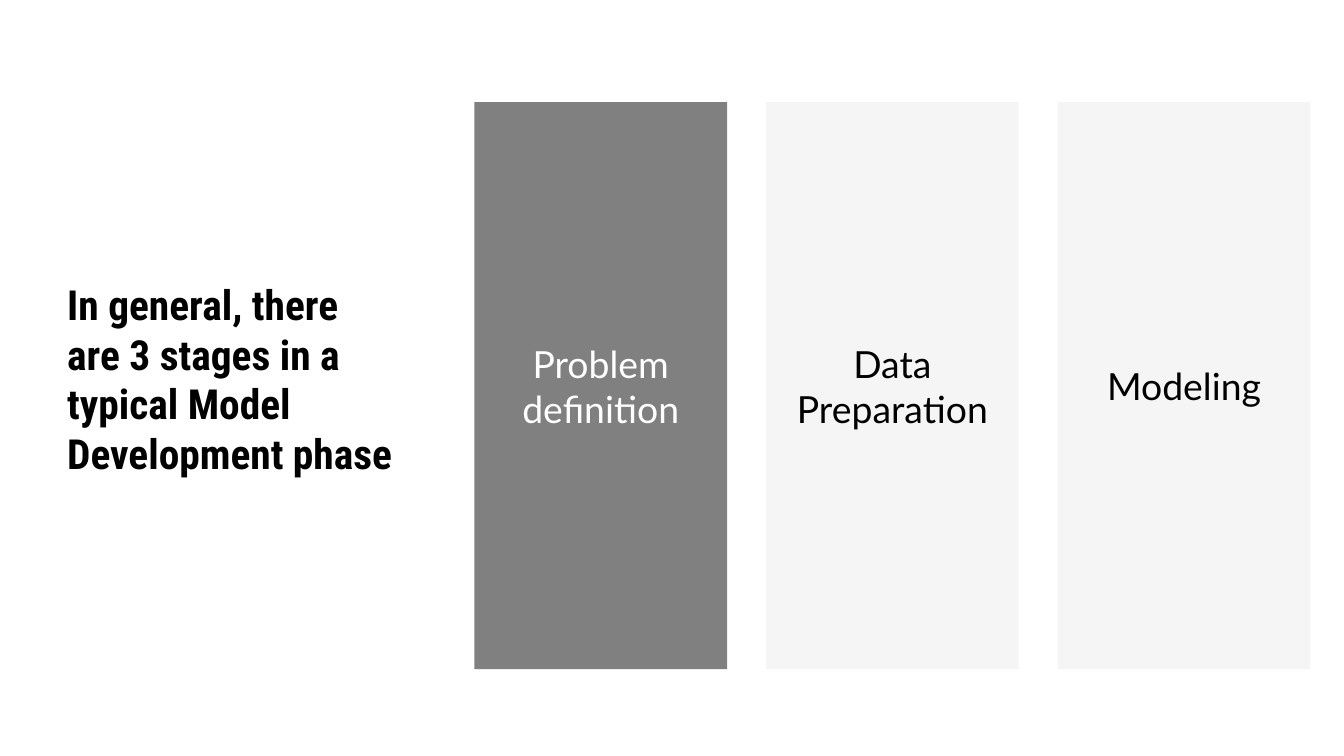
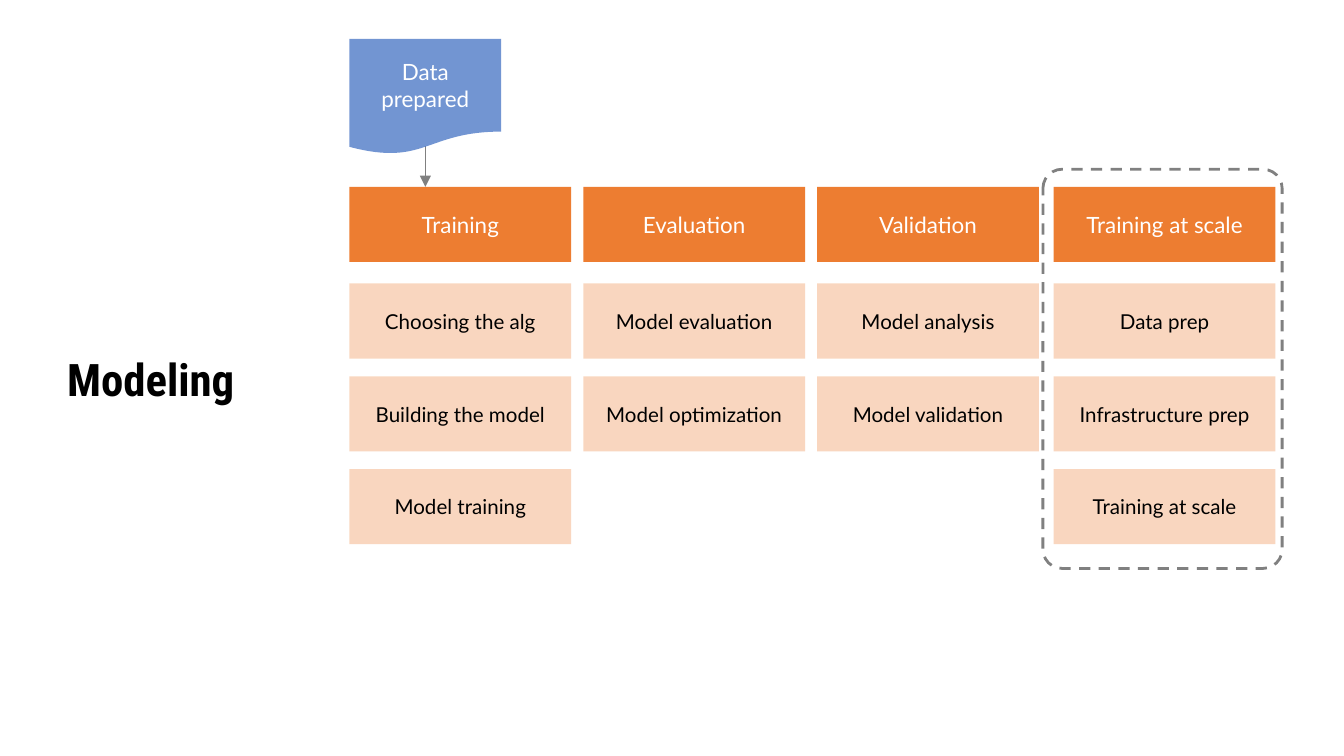
import dataclasses

import lxml.etree
import pptx
import pptx.dml.color
import pptx.enum.dml
import pptx.enum.shapes
import pptx.enum.text
import pptx.oxml.ns
import pptx.util

SHAPE = pptx.enum.shapes.MSO_SHAPE
MIDDLE = pptx.enum.text.MSO_ANCHOR.MIDDLE
CENTER = pptx.enum.text.PP_ALIGN.CENTER
LEFT = pptx.enum.text.PP_ALIGN.LEFT
qn = pptx.oxml.ns.qn


@dataclasses.dataclass(frozen=True)
class Theme:
    heading_font: str = "Roboto Condensed"
    body_font: str = "Lato"
    black: str = "000000"
    white: str = "FFFFFF"
    gray: str = "808080"
    light: str = "EDEDED"
    orange: str = "ED7D31"
    blue: str = "4472C4"
    statement_size: float = 22.2
    heading_size: float = 24
    stage_size: float = 20
    header_size: float = 12
    step_size: float = 11


THEME = Theme()


@dataclasses.dataclass(frozen=True)
class Box:
    x: float
    y: float
    w: float
    h: float

    def inner(self, dx, dy, w, h):
        return Box(self.x + dx, self.y + dy, w, h)

    def columns(self, count, gap):
        w = (self.w - gap * (count - 1)) / count
        return [self.inner(i * (w + gap), 0, w, self.h) for i in range(count)]

    def emu(self):
        return [cells(v) for v in (self.x, self.y, self.w, self.h)]


def cells(value):
    return pptx.util.Inches(value / 10)


SLIDE = Box(0, 0, 100, 56.25)
HEADING = Box(4, 21.5, 26.3, 13.3)
STAGES = Box(35.3, 7.6, 62.2, 42.2)
PHASES = Box(26, 13.9, 51.3, 26.6)
SCALE = Box(78.4, 13.9, 16.5, 26.6)

STAGE_ON = {"fill": THEME.gray, "color": THEME.white, "size": THEME.stage_size}
STAGE_OFF = {"fill": THEME.light, "alpha": 50, "color": THEME.black, "size": THEME.stage_size}
HEADER = {"fill": THEME.orange, "color": THEME.white, "size": THEME.header_size}
STEP = {"fill": THEME.orange, "alpha": 31, "color": THEME.black, "size": THEME.step_size}
INPUT = {"fill": THEME.blue, "alpha": 75, "color": THEME.white, "size": THEME.header_size}


def rgb(color):
    return pptx.dml.color.RGBColor.from_string(color)


def apply(target, formats):
    for name, value in formats.items():
        setattr(target, name, value)


def write(sp, text, font, size, color, align=CENTER, bold=False):
    tf = sp.text_frame
    apply(tf, {"word_wrap": True, "vertical_anchor": MIDDLE,
               "auto_size": pptx.enum.text.MSO_AUTO_SIZE.NONE})
    p = tf.paragraphs[0]
    apply(p, {"alignment": align, "space_before": pptx.util.Pt(0)})
    r = p.add_run()
    r.text = text
    apply(r.font, {"name": font, "size": pptx.util.Pt(size), "bold": bold})
    r.font.color.rgb = rgb(color)


def add_block(shapes, box, text, style, kind=SHAPE.RECTANGLE):
    sp = shapes.add_shape(kind, *box.emu())
    sp.shadow.inherit = False
    sp.fill.solid()
    sp.fill.fore_color.rgb = rgb(style["fill"])
    if "alpha" in style:
        clr = sp._element.spPr.find(qn("a:solidFill")).find(qn("a:srgbClr"))
        lxml.etree.SubElement(clr, qn("a:alpha"), val=str(style["alpha"] * 1000))
    sp.line.fill.background()
    write(sp, text, THEME.body_font, style["size"], style["color"])


def add_arrow(shapes, x, top, bottom):
    cxn = shapes.add_connector(pptx.enum.shapes.MSO_CONNECTOR.STRAIGHT,
                               cells(x), cells(top), cells(x), cells(bottom))
    cxn.line.color.rgb = rgb(THEME.gray)
    cxn.line.width = pptx.util.Pt(0.75)
    spPr = cxn._element.spPr
    lxml.etree.SubElement(spPr.find(qn("a:ln")), qn("a:tailEnd"), type="triangle")
    lxml.etree.SubElement(spPr, qn("a:effectLst"))


def add_dashed_frame(shapes, box):
    sp = shapes.add_shape(SHAPE.ROUNDED_RECTANGLE, *box.emu())
    sp.adjustments[0] = 0.08
    sp.shadow.inherit = False
    sp.fill.background()
    sp.line.color.rgb = rgb(THEME.gray)
    apply(sp.line, {"width": pptx.util.Pt(1.5),
                    "dash_style": pptx.enum.dml.MSO_LINE.DASH})


def add_slide(prs, heading, size):
    slide = prs.slides.add_slide(prs.slide_layouts.get_by_name("Section Header"))
    title = slide.shapes.title._element
    title.getparent().remove(title)
    body = slide.placeholders[1]
    apply(body, dict(zip(("left", "top", "width", "height"), HEADING.emu())))
    write(body, heading, THEME.heading_font, size, THEME.black, LEFT, bold=True)
    return slide.shapes


def add_stages(shapes, box, stages, current):
    for stage, column in zip(stages, box.columns(len(stages), 2.9)):
        add_block(shapes, column, stage, STAGE_ON if stage == current else STAGE_OFF)


def add_input(shapes, box, text):
    group = shapes.add_group_shape().shapes
    document = box.inner(0, -11, 11.3, 8.6)
    add_arrow(group, document.x + document.w / 2, box.y - 3, box.y)
    add_block(group, document, text, INPUT, SHAPE.FLOWCHART_DOCUMENT)


def add_phase(shapes, box, phase, steps):
    block_h, first_step, pitch = 5.6, 7.2, 6.9
    add_block(shapes, box.inner(0, 0, box.w, block_h), phase, HEADER)
    for i, step in enumerate(steps):
        cell = box.inner(0, first_step + i * pitch, box.w, block_h)
        add_block(shapes, cell, step, STEP)


def add_phases(shapes, box, phases):
    for column, (phase, steps) in zip(box.columns(len(phases), 0.9), phases.items()):
        add_phase(shapes, column, phase, steps)


def add_scale_phase(shapes, box, phase, steps):
    add_phase(shapes, box, phase, steps)
    add_dashed_frame(shapes, box.inner(-0.8, -1.3, box.w + 1.3, box.h + 3.1))


def build_stages_slide(prs):
    shapes = add_slide(
        prs, "In general, there are 3 stages in a typical Model Development phase",
        THEME.statement_size)
    add_stages(shapes, STAGES, ["Problem definition", "Data Preparation", "Modeling"],
               current="Problem definition")


def build_modeling_slide(prs):
    shapes = add_slide(prs, "Modeling", THEME.heading_size)
    add_input(shapes, PHASES, "Data prepared")
    add_phases(shapes, PHASES, {
        "Training": ["Choosing the alg", "Building the model", "Model training"],
        "Evaluation": ["Model evaluation", "Model optimization"],
        "Validation": ["Model analysis", "Model validation"],
    })
    add_scale_phase(shapes, SCALE, "Training at scale",
                    ["Data prep", "Infrastructure prep", "Training at scale"])


def main():
    prs = pptx.Presentation()
    apply(prs, {"slide_width": cells(SLIDE.w), "slide_height": cells(SLIDE.h)})
    build_stages_slide(prs)
    build_modeling_slide(prs)
    prs.save("out.pptx")


if __name__ == "__main__":
    main()
